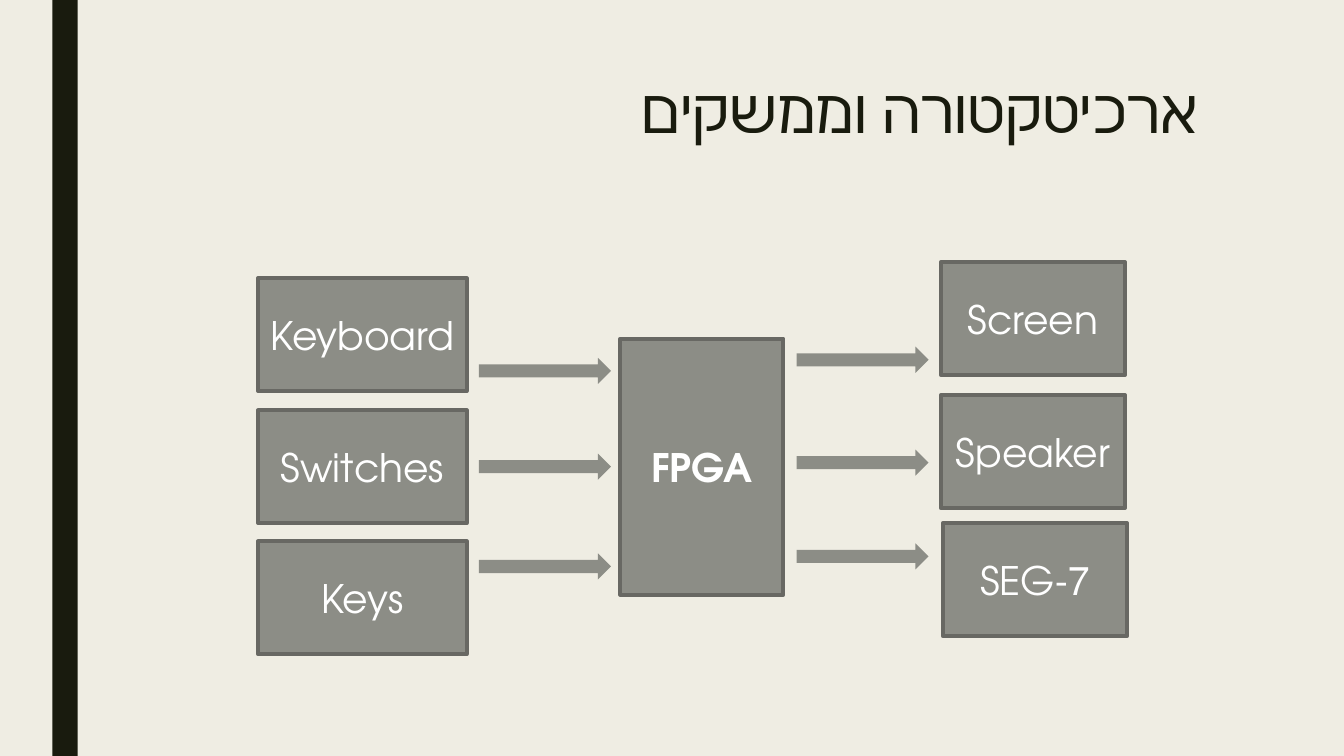
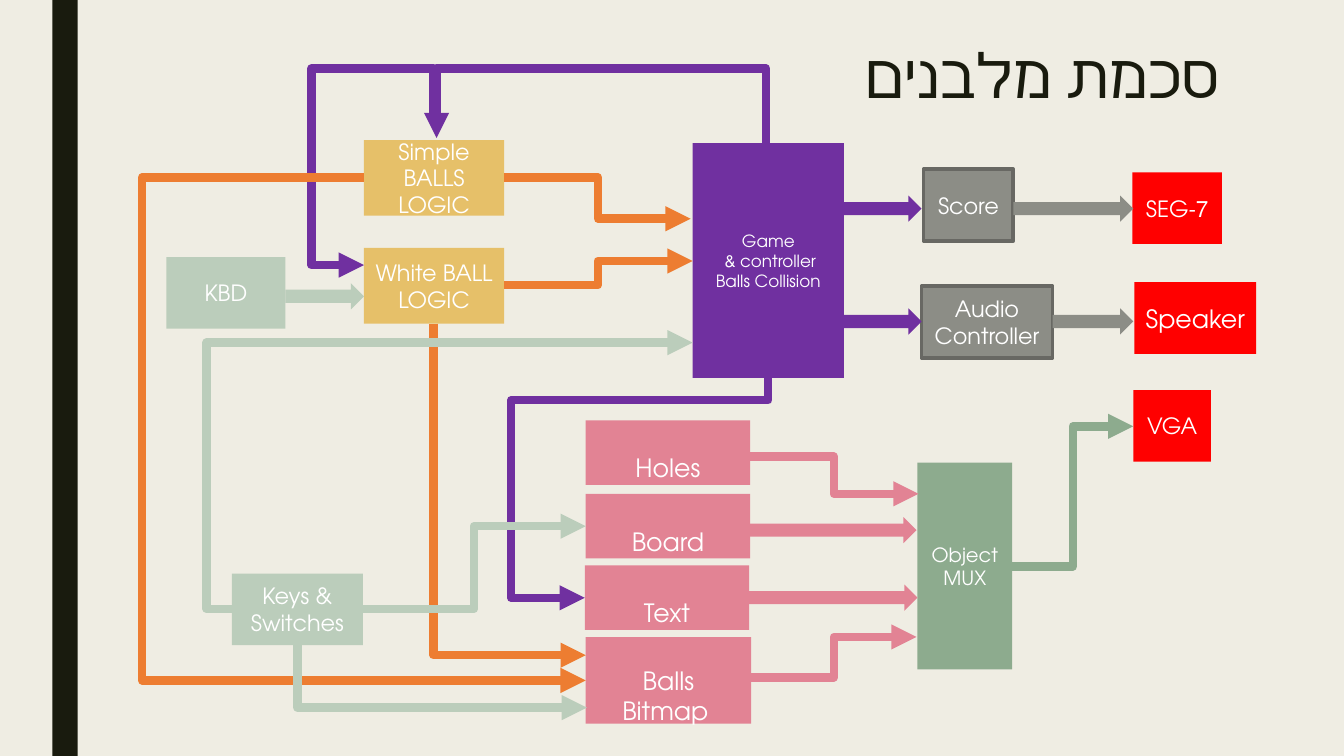
"""Build two slides: system interfaces and a block diagram of the game logic."""
from lxml import etree
from pptx import Presentation
from pptx.dml.color import RGBColor
from pptx.enum.shapes import MSO_CONNECTOR, MSO_SHAPE
from pptx.enum.text import MSO_ANCHOR, PP_ALIGN
from pptx.oxml.ns import qn
from pptx.util import Pt

RECTANGLE = MSO_SHAPE.RECTANGLE
RIGHT_ARROW = MSO_SHAPE.RIGHT_ARROW
ELBOW = MSO_CONNECTOR.ELBOW
TOP = MSO_ANCHOR.TOP
CENTER, RIGHT = PP_ALIGN.CENTER, PP_ALIGN.RIGHT

PX = 9144
TITLE_FONT, LABEL_FONT = "Cabin", "TeX Gyre Adventor"
PAPER, INK, WHITE = "EFEDE3", "191B0E", "FFFFFF"
GRAY, DARK_GRAY, RED = "8C8D86", "686863", "FF0000"
PURPLE, ORANGE, YELLOW = "7030A0", "ED7D31", "E6C069"
PINK, GREEN, PALE_GREEN = "E28394", "8DAB8E", "BBCDBB"
ARROW_HEIGHT = 26
PINK_TOP_MARGIN = 35
CONTROLLER = "FPGA"


def color(value):
    return RGBColor.from_string(value)


def write(shape, text, font=LABEL_FONT, size=16, ink=WHITE, bold=False,
          align=CENTER, line_spacing=None):
    frame = shape.text_frame
    frame.word_wrap = True
    for index, line in enumerate(text.split("\n")):
        paragraph = frame.add_paragraph() if index else frame.paragraphs[0]
        paragraph.alignment = align
        paragraph.line_spacing = line_spacing
        paragraph._p.get_or_add_pPr().set("rtl", "1")
        run = paragraph.add_run()
        run.text = line
        run.font.name = font
        run.font.size = Pt(size)
        run.font.bold = bold
        run.font.color.rgb = color(ink)


interfaces = {
    "title": ("ארכיטקטורה וממשקים", 150, 75, 1050, 112),
    "boxes": [
        (CONTROLLER, 615, 336, 162, 254, GRAY, 28),
        ("Keyboard", 256, 276, 207, 112, GRAY, 28),
        ("Switches", 256, 407, 207, 112, GRAY, 28),
        ("Keys", 256, 537, 207, 112, GRAY, 28),
        ("Screen", 933, 260, 183, 112, GRAY, 28),
        ("Speaker", 933, 392, 183, 112, GRAY, 28),
        ("7-SEG", 935, 519, 183, 112, GRAY, 28),
    ],
    "arrows": [(475, 606, middle, GRAY) for middle in (368, 463, 562)]
    + [(790, 921, middle, GRAY) for middle in (357, 459, 552)],
    "routes": [],
}
block_diagram = {
    "title": ("סכמת מלבנים", 169, 41, 1050, 162),
    "boxes": [
        ("VGA", 1124, 387, 77, 71, RED, 16),
        ("Object MUX", 910, 459, 94, 205, GREEN, 14),
        ("Game controller & \nBalls Collision", 687, 142, 150, 233, PURPLE, 12),
        ("Speaker", 1125, 280, 121, 71, RED, 18),
        ("7-SEG", 1123, 171, 89, 71, RED, 16),
        ("Score", 916, 168, 89, 71, GRAY, 16),
        ("Audio Controller", 914, 284, 130, 71, GRAY, 16),
        ("Simple BALLS\nLOGIC", 361, 139, 139, 75, YELLOW, 16),
        ("White BALL LOGIC", 361, 246, 139, 75, YELLOW, 16),
        ("KBD", 165, 255, 118, 71, PALE_GREEN, 16),
        ("Keys & Switches", 230, 569, 130, 71, PALE_GREEN, 16),
        ("Holes", 581, 417, 163, 64, PINK, 18),
        ("Board", 581, 490, 163, 64, PINK, 18),
        ("Text", 580, 561, 163, 64, PINK, 18),
        ("Balls\n Bitmap", 581, 632, 164, 86, PINK, 18),
    ],
    "arrows": [
        (283, 361, 294, PALE_GREEN),
        (744, 909, 526, PINK),
        (743, 910, 593, PINK),
        (836, 914, 207, PURPLE),
        (836, 914, 319, PURPLE),
        (1005, 1124, 207, GRAY),
        (1044, 1124, 319, GRAY),
    ],
    "routes": [
        (True, (760, 143), [68], (433, 137), PURPLE),
        (False, (500, 176), [593], (685, 217), ORANGE),
        (False, (744, 672), [827], (909, 632), PINK),
        (False, (743, 453), [827], (911, 490), PINK),
        (False, (500, 283), [593], (687, 259), ORANGE),
        (True, (430, 321), [], (581, 650), ORANGE),
        (True, (430, 113), [68, 309], (361, 263), PURPLE),
        (True, (762, 375), [397, 507], (580, 593), PURPLE),
        (False, (361, 176), [141], (581, 675), ORANGE),
        (True, (295, 640), [], (582, 702), PALE_GREEN),
        (False, (360, 604), [470], (581, 522), PALE_GREEN),
        (False, (230, 604), [205], (687, 340), PALE_GREEN),
        (False, (1004, 562), [1064], (1124, 423), GREEN),
    ],
}

presentation = Presentation()
presentation.slide_width = 1333 * PX
presentation.slide_height = 750 * PX
master = presentation.slide_master
master.background.fill.solid()
master.background.fill.fore_color.rgb = color(PAPER)
title_layout = presentation.slide_layouts[5]

for content in (interfaces, block_diagram):
    slide = presentation.slides.add_slide(title_layout)
    shapes = slide.shapes

    if content is interfaces:
        band = shapes.add_shape(RECTANGLE, 52 * PX, 0, 25 * PX, 750 * PX)
        band.shadow.inherit = False
        band.fill.solid()
        band.fill.fore_color.rgb = color(INK)
        band.line.fill.background()
        master.shapes._spTree.insert(2, band._element)

    text, left, top, width, height = content["title"]
    title = shapes.title
    title.left, title.top = left * PX, top * PX
    title.width, title.height = width * PX, height * PX
    title.text_frame.vertical_anchor = TOP
    write(title, text, font=TITLE_FONT, size=44, ink=INK, align=RIGHT, line_spacing=0.89)

    blocks = [(RECTANGLE, *box) for box in content["boxes"]]
    for left, right, middle, fill in content["arrows"]:
        blocks.append((RIGHT_ARROW, "", left, middle - ARROW_HEIGHT // 2,
                       right - left, ARROW_HEIGHT, fill, 0))

    for kind, text, left, top, width, height, fill, size in blocks:
        shape = shapes.add_shape(kind, left * PX, top * PX, width * PX, height * PX)
        shape.shadow.inherit = False
        shape.fill.solid()
        shape.fill.fore_color.rgb = color(fill)
        if kind == RECTANGLE and fill == GRAY:
            shape.line.color.rgb = color(DARK_GRAY)
            shape.line.width = Pt(2.75)
        else:
            shape.line.fill.background()
        if text:
            write(shape, text, size=size, bold=text == CONTROLLER)
        if kind == RECTANGLE and fill == PINK:
            shape.text_frame.margin_top = PINK_TOP_MARGIN * PX

    for vertical, (x1, y1), bends, (x2, y2), line_color in content["routes"]:
        spans = [(x1, x2), (y1, y2)]
        begin, end = (x1, y1), (x2, y2)
        if vertical:
            spans.reverse()
            center_x, center_y = (x1 + x2) / 2, (y1 + y2) / 2
            half_x, half_y = (x2 - x1) / 2, (y2 - y1) / 2
            begin = (center_x + half_y, center_y - half_x)
            end = (center_x - half_y, center_y + half_x)
        connector = shapes.add_connector(ELBOW, *(int(value * PX) for value in begin + end))
        connector.line.color.rgb = color(line_color)
        connector.line.width = Pt(6)
        properties = connector._element.spPr
        if vertical:
            properties.find(qn("a:xfrm")).set("rot", "16200000")
        geometry = properties.find(qn("a:prstGeom"))
        geometry.set("prst", f"bentConnector{len(bends) + 2}")
        guides = geometry.find(qn("a:avLst"))
        for number, (bend, (start, stop)) in enumerate(zip(bends, spans), 1):
            ratio = round((bend - start) / (stop - start) * 100000)
            etree.SubElement(guides, qn("a:gd"), name=f"adj{number}", fmla=f"val {ratio}")
        etree.SubElement(properties.find(qn("a:ln")), qn("a:tailEnd"), type="triangle")
        etree.SubElement(properties, qn("a:effectLst"))

presentation.save("out.pptx")
